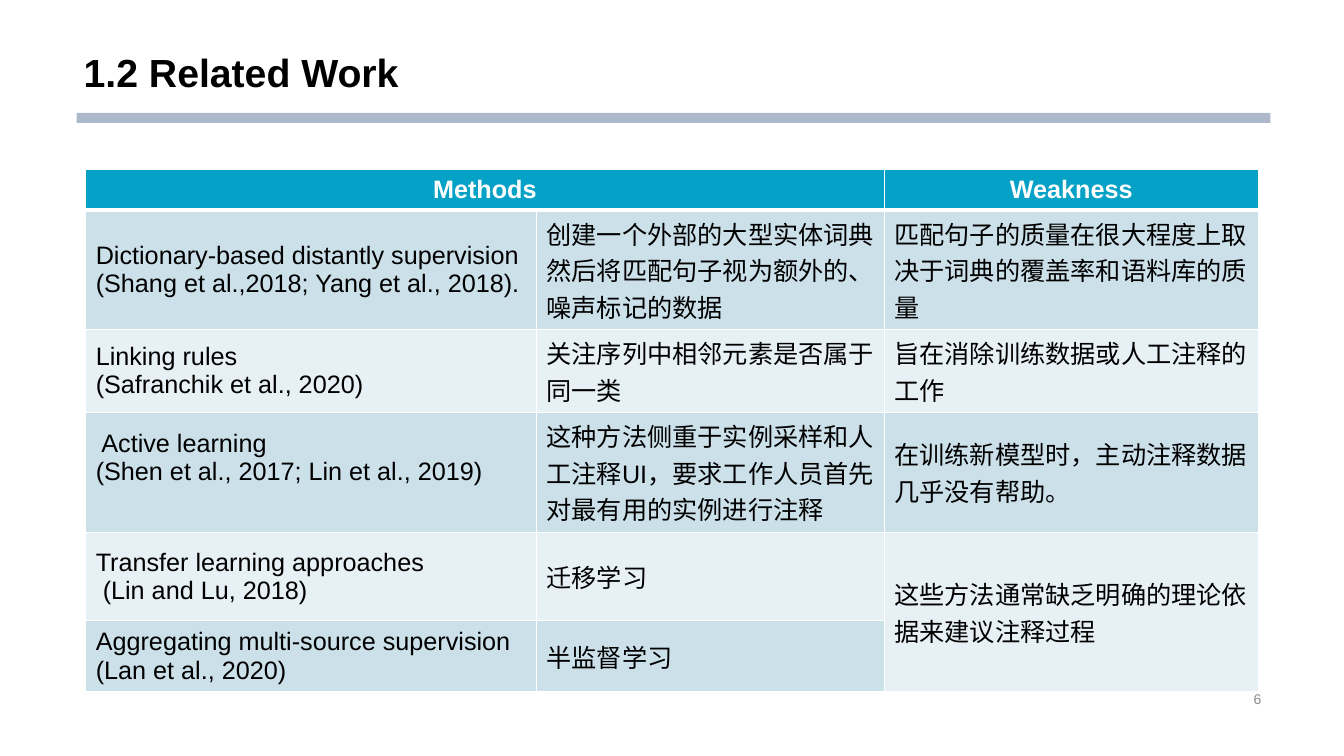
from lxml.etree import SubElement
from pptx import Presentation
from pptx.dml.color import RGBColor
from pptx.enum.shapes import MSO_SHAPE
from pptx.enum.text import MSO_ANCHOR, MSO_AUTO_SIZE, PP_ALIGN
from pptx.oxml.ns import qn
from pptx.util import Inches, Pt

TITLE = "1.2 Related Work"
PAGE_NUMBER = "6"
ROWS = [
    (["Methods"], [], ["Weakness"]),
    (["Dictionary-based distantly supervision", "(Shang et al.,2018; Yang et al., 2018)."],
     ["创建一个外部的大型实体词典然后将匹配句子视为额外的、噪声标记的数据"],
     ["匹配句子的质量在很大程度上取决于词典的覆盖率和语料库的质量"]),
    (["Linking rules", "(Safranchik et al., 2020)"],
     ["关注序列中相邻元素是否属于同一类"],
     ["旨在消除训练数据或人工注释的工作"]),
    ([" Active learning", "(Shen et al., 2017; Lin et al., 2019)"],
     ["这种方法侧重于实例采样和人工注释UI，要求工作人员首先对最有用的实例进行注释"],
     ["在训练新模型时，主动注释数据几乎没有帮助。"]),
    (["Transfer learning approaches", " (Lin and Lu, 2018)"],
     ["迁移学习"],
     ["这些方法通常缺乏明确的理论依据来建议注释过程"]),
    (["Aggregating multi-source supervision (Lan et al., 2020)"],
     ["半监督学习"],
     []),
]
COLUMN_WIDTHS = [4.47, 3.45, 3.71]
ROW_HEIGHTS = [0.38, 1.19, 0.82, 1.19, 0.88, 0.66]
MERGES = [((0, 0), (0, 1)), ((4, 2), (5, 2))]
RAISED_CELL = (3, 0)
COLORS = {
    "rule": "ADB9CA", "header": "06A1C6", "odd": "CCE0EA", "even": "E7F0F5",
    "white": "FFFFFF", "black": "000000", "number": "8C8C8C",
}


def rgb(name):
    return RGBColor.from_string(COLORS[name])


def add_text(paragraph, text, size, color, bold=False, align=PP_ALIGN.LEFT):
    paragraph.alignment = align
    run = paragraph.add_run()
    run.text = text
    run.font.name = "Arial"
    run.font.size = Pt(size)
    run.font.bold = bold
    run.font.color.rgb = rgb(color)


def set_borders(cell, widths):
    properties = cell._tc.get_or_add_tcPr()
    for index, (side, width) in enumerate(widths.items()):
        line = properties.makeelement(qn(f"a:ln{side}"), {"w": str(Pt(width))})
        properties.insert(index, line)
        fill = SubElement(line, qn("a:solidFill"))
        SubElement(fill, qn("a:srgbClr"), val=COLORS["white"])


presentation = Presentation()
presentation.slide_width = Inches(13.33)
presentation.slide_height = Inches(7.5)
slide = presentation.slides.add_slide(presentation.slide_layouts[5])

rule = slide.shapes.add_shape(
    MSO_SHAPE.RECTANGLE, Inches(0.76), Inches(1.12), Inches(11.84), Inches(0.1))
rule.shadow.inherit = False
rule.fill.solid()
rule.fill.fore_color.rgb = rgb("rule")
rule.line.fill.background()

title = slide.shapes.title
title.left, title.top = Inches(0.73), Inches(0)
title.width, title.height = Inches(10.28), Inches(1)
title.text_frame.auto_size = MSO_AUTO_SIZE.NONE
title.text_frame.vertical_anchor = MSO_ANCHOR.BOTTOM
title_paragraph = title.text_frame.paragraphs[0]
title_paragraph.line_spacing = 0.9
add_text(title_paragraph, TITLE, 28, "black", bold=True)

number = slide.shapes.add_textbox(Inches(9.45), Inches(6.82), Inches(3.16), Inches(0.23))
number.text_frame.word_wrap = True
number.text_frame.vertical_anchor = MSO_ANCHOR.MIDDLE
add_text(number.text_frame.paragraphs[0], PAGE_NUMBER, 10, "number", align=PP_ALIGN.RIGHT)

table = slide.shapes.add_table(
    len(ROWS), len(COLUMN_WIDTHS), Inches(0.85), Inches(1.68),
    Inches(sum(COLUMN_WIDTHS)), Inches(sum(ROW_HEIGHTS))).table
for column, width in zip(table.columns, COLUMN_WIDTHS):
    column.width = Inches(width)
for row, height in zip(table.rows, ROW_HEIGHTS):
    row.height = Inches(height)
for first, last in MERGES:
    table.cell(*first).merge(table.cell(*last))

for row_index, row in enumerate(ROWS):
    is_header = row_index == 0
    band = "header" if is_header else "odd" if row_index % 2 else "even"
    for column_index, lines in enumerate(row):
        cell = table.cell(row_index, column_index)
        cell.vertical_anchor = MSO_ANCHOR.MIDDLE
        cell.fill.solid()
        cell.fill.fore_color.rgb = rgb(band)
        set_borders(cell, {"L": 1, "R": 1, "T": 3 if row_index == 1 else 1,
                           "B": 3 if is_header else 1})
        for line_index, text in enumerate(lines):
            frame = cell.text_frame
            paragraph = frame.add_paragraph() if line_index else frame.paragraphs[0]
            add_text(paragraph, text, 18, "white" if is_header else "black", is_header,
                     PP_ALIGN.CENTER if is_header else PP_ALIGN.LEFT)
table.cell(*RAISED_CELL).margin_bottom = Inches(0.33)

presentation.save("out.pptx")
